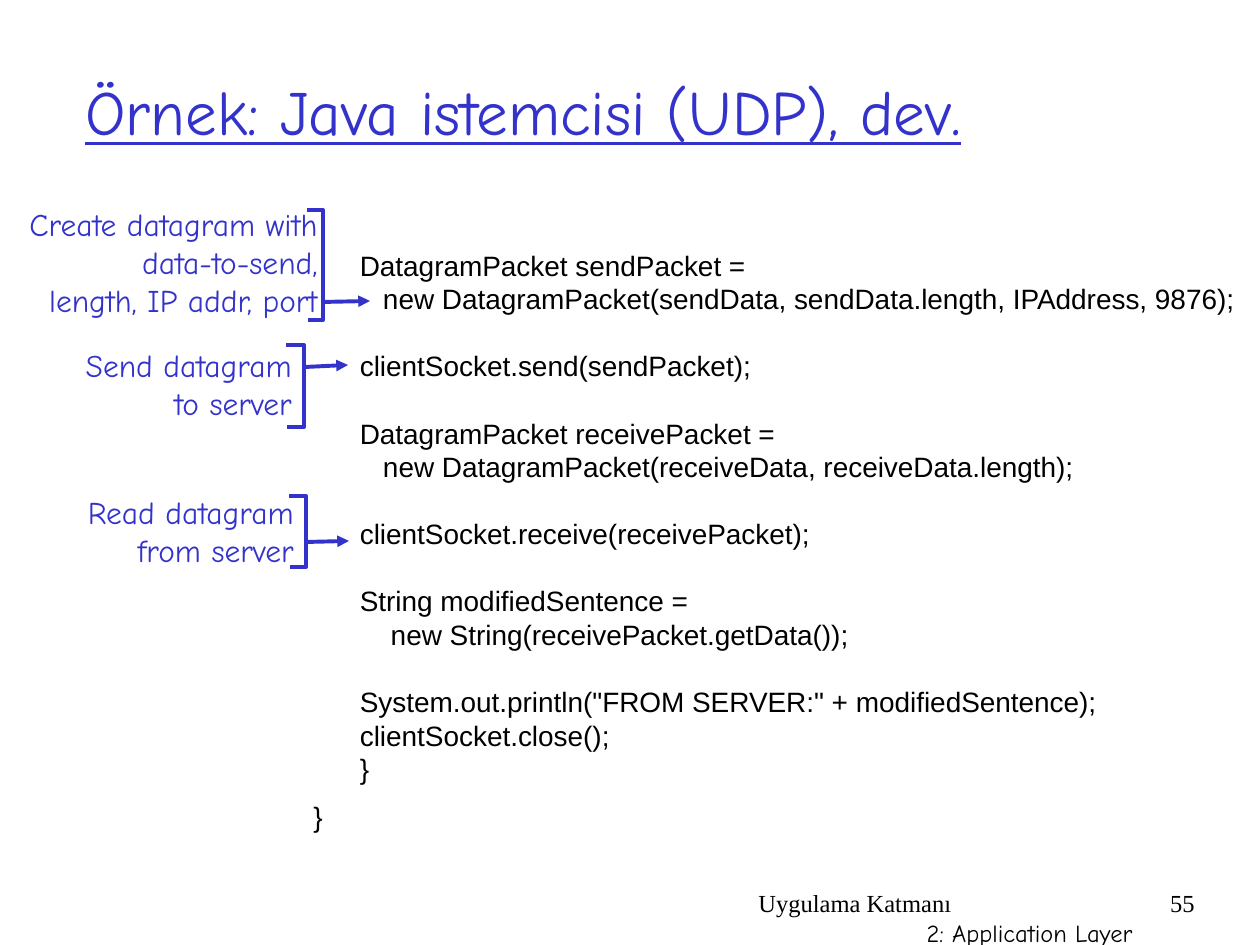
from dataclasses import dataclass

from lxml.etree import SubElement
from pptx import Presentation
from pptx.dml.color import RGBColor as RGB
from pptx.enum.shapes import MSO_CONNECTOR as Conn
from pptx.enum.text import MSO_ANCHOR as Anchor, PP_ALIGN as Align
from pptx.oxml.ns import qn
from pptx.util import Inches, Pt

TITLE = "Örnek: Java istemcisi (UDP), dev."
CODE = [
    ["      DatagramPacket sendPacket =",
     "         new DatagramPacket(sendData, sendData.length, IPAddress, 9876);"],
    ["      clientSocket.send(sendPacket);"],
    ["      DatagramPacket receivePacket =",
     "         new DatagramPacket(receiveData, receiveData.length);"],
    ["      clientSocket.receive(receivePacket);"],
    ["      String modifiedSentence =",
     "          new String(receivePacket.getData());"],
    ['      System.out.println("FROM SERVER:" + modifiedSentence);',
     "      clientSocket.close();",
     "      }"],
]
END = "}"
# label lines, label box, bracket (left, top, right, bottom), arrow (from, to)
NOTES = [
    (["Create datagram with data-to-send,", "length, IP addr, port"],
     (0, 199, 330, 126), (307, 210, 323, 320), (323, 302, 370, 301)),
    (["Send datagram", "to server"],
     (60, 340, 244, 88), (286, 345, 304, 427), (305, 367, 348, 365)),
    (["Read datagram", "from server"],
     (60, 487, 246, 88), (289, 496, 306, 567), (307, 542, 349, 541)),
]
FOOT, LAYER, PAGE = "Uygulama Katmanı", "2: Application Layer", "55"


@dataclass(frozen=True)
class Theme:
    blue: RGB = RGB(0x33, 0x33, 0xCC)
    black: RGB = RGB(0, 0, 0)
    hand: str = "Comic Neue"
    sans: str = "Arial"
    serif: str = "Times New Roman"
    head: int = 36
    note: int = 18
    code: int = 16
    foot: int = 14
    line: float = 2.25
    lead: float = 1.2
    gap: int = 8


T = Theme()
PX = Inches(1) // 126

deck = Presentation()
deck.slide_width, deck.slide_height = Inches(10), Inches(7.5)
slide = deck.slides.add_slide(deck.slide_layouts[6])
shapes = slide.shapes


def emu(*vals):
    return [v * PX for v in vals]


def add_box(place, anchor=Anchor.TOP):
    frame = shapes.add_textbox(*emu(*place)).text_frame
    frame.word_wrap = True
    frame.vertical_anchor = anchor
    return frame


def add_line(frame, text, size, face, color, align=Align.LEFT, before=0):
    """Write one paragraph, using the empty first one if it is free."""
    para = frame.paragraphs[0]
    if para.runs:
        para = frame.add_paragraph()
    para.alignment = align
    para.line_spacing = Pt(size * T.lead)
    para.space_before = Pt(before)
    run = para.add_run()
    run.text = text
    font = run.font
    font.size, font.name = Pt(size), face
    font.color.rgb = color
    return run


def draw(shape):
    shape.line.color.rgb = T.blue
    shape.line.width = Pt(T.line)


def add_bracket(left, top, right, bottom):
    form = shapes.build_freeform(*emu(left, top))
    points = [(right, top), (right, bottom), (left + 1, bottom)]
    form.add_line_segments([emu(*p) for p in points], close=False)
    shape = form.convert_to_shape()
    shape.shadow.inherit = False
    shape.fill.background()
    draw(shape)


def add_arrow(ends):
    arrow = shapes.add_connector(Conn.STRAIGHT, *emu(*ends))
    draw(arrow)
    SubElement(arrow.line._get_or_add_ln(), qn("a:tailEnd"), type="triangle")
    SubElement(arrow._element.spPr, qn("a:effectLst"))


foot = add_box((746, 882, 399, 63))
add_line(foot, FOOT, T.foot, T.serif, T.black)
add_line(foot, LAYER, T.foot, T.hand, T.black, Align.RIGHT)
add_line(add_box((1144, 882, 63, 63)), PAGE, T.foot, T.serif, T.black, Align.RIGHT)

title = add_line(add_box((73, 32, 1071, 157), Anchor.MIDDLE),
                 TITLE, T.head, T.hand, T.blue)
title.font.underline = True

code = add_box((301, 242, 956, 601))
for b, block in enumerate(CODE):
    for n, text in enumerate(block):
        skip = T.code * T.lead if b and not n else 0
        add_line(code, text, T.code, T.sans, T.black, before=skip)
add_line(code, END, T.code, T.sans, T.black, before=T.gap)

for lines, place, bracket, arrow in NOTES:
    label = add_box(place)
    for text in lines:
        add_line(label, text, T.note, T.hand, T.blue, Align.RIGHT)
    add_bracket(*bracket)
    add_arrow(arrow)

deck.save("out.pptx")
